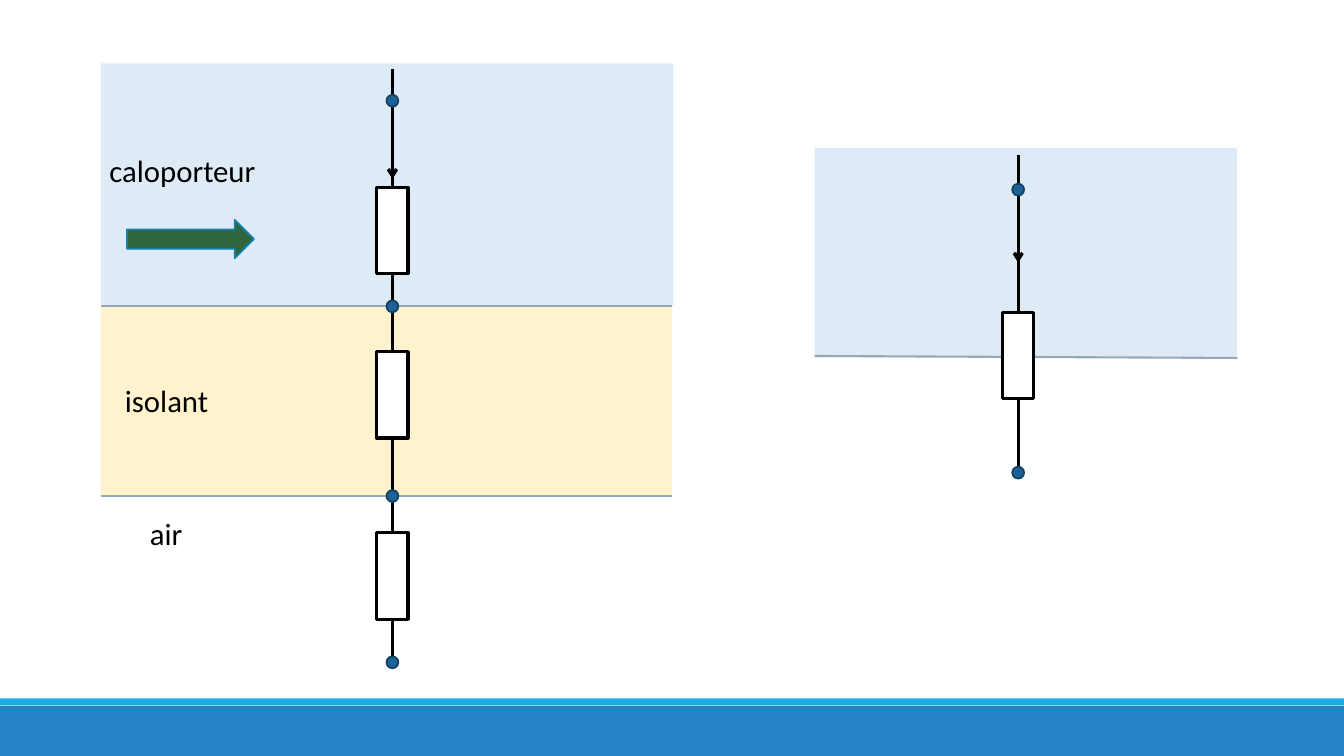
from pptx import Presentation
from pptx.dml.color import RGBColor
from pptx.enum.shapes import MSO_CONNECTOR, MSO_SHAPE
from pptx.enum.text import MSO_AUTO_SIZE
from pptx.oxml.ns import qn
from pptx.util import Cm, Pt
from lxml import etree

RECT = MSO_SHAPE.RECTANGLE
OVAL = MSO_SHAPE.OVAL
ARROW = MSO_SHAPE.RIGHT_ARROW
LINE = MSO_CONNECTOR.STRAIGHT
GROW = MSO_AUTO_SIZE.SHAPE_TO_FIT_TEXT

WIDTH, HEIGHT = 33.87, 19.05
BLACK, WHITE = "000000", "FFFFFF"
FLUID, FOAM, EDGE = "DEEBF7", "FFF2CC", "96A9BA"


def color(code):
    return RGBColor.from_string(code)


class Sketch:
    font = "Calibri"
    size = 22
    wire = 2.25
    thin = 1.25
    dot = 0.3
    box = (0.79, 2.18)

    def __init__(self, slide):
        self.slide = slide

    def shape(self, kind, left, top, width, height, fill, line=None, weight=0):
        item = self.slide.shapes.add_shape(kind, Cm(left), Cm(top), Cm(width), Cm(height))
        item.shadow.inherit = False
        item.fill.solid()
        item.fill.fore_color.rgb = color(fill)
        if line:
            item.line.color.rgb = color(line)
            item.line.width = Pt(weight)
        else:
            item.line.fill.background()

    def line(self, x1, y1, x2, y2, ink, weight, head=False):
        item = self.slide.shapes.add_connector(LINE, Cm(x1), Cm(y1), Cm(x2), Cm(y2))
        item.line.color.rgb = color(ink)
        item.line.width = Pt(weight)
        if head:
            etree.SubElement(item.line._get_or_add_ln(), qn("a:tailEnd"), type="arrow")
        etree.SubElement(item._element.spPr, qn("a:effectLst"))

    def label(self, text, left, top, width):
        item = self.slide.shapes.add_textbox(Cm(left), Cm(top), Cm(width), Cm(1.19))
        frame = item.text_frame
        frame.word_wrap = False
        frame.auto_size = GROW
        frame.text = text
        font = frame.paragraphs[0].runs[0].font
        font.name = self.font
        font.size = Pt(self.size)
        font.color.rgb = color(BLACK)

    def circuit(self, x, start, end, flow, boxes, dots):
        self.line(x, start, x, end, BLACK, self.wire)
        self.line(x, flow, x, flow + 0.8, BLACK, self.wire, True)
        width, height = self.box
        for top in boxes:
            self.shape(RECT, x - width / 2, top, width, height, WHITE, BLACK, self.wire)
        for mid in dots:
            self.shape(OVAL, x - self.dot / 2, mid - self.dot / 2, self.dot, self.dot,
                       "1D6294", "134163", self.thin)


def main():
    deck = Presentation()
    deck.slide_width, deck.slide_height = Cm(WIDTH), Cm(HEIGHT)
    art = Sketch(deck.slides.add_slide(deck.slide_layouts[6]))

    art.shape(RECT, 0, 17.78, WIDTH, 1.27, "2683C6")
    art.shape(RECT, 0, 17.6, WIDTH, 0.17, "1CADE4")

    left, right, upper, lower = 2.54, 16.94, 7.72, 12.5
    art.shape(RECT, left, 1.6, 14.43, 6.1, FLUID)
    art.shape(RECT, left, upper, right - left, 4.8, FOAM)
    for y in (upper, lower):
        art.line(left, y, right, y, EDGE, 1.5)
    for text, x, y, width in (
        ("air", 3.53, 12.85, 1.35),
        ("isolant", 2.9, 9.5, 2.64),
        ("caloporteur", 2.51, 3.71, 4.22),
    ):
        art.label(text, x, y, width)
    art.shape(ARROW, 3.2, 5.54, 3.2, 0.97, "2F663E", "1580A9", art.thin)
    art.circuit(9.89, 1.73, 16.7, 3.71, (4.72, 8.86, 13.43), (2.54, upper, lower, 16.69))

    art.shape(RECT, 20.53, 3.73, 10.64, 5.28, FLUID)
    art.line(20.53, 8.97, 31.18, 9.02, EDGE, 1.5)
    art.circuit(25.66, 3.91, 12.01, 5.82, (7.87,), (4.78, 11.91))

    deck.save("out.pptx")


if __name__ == "__main__":
    main()
